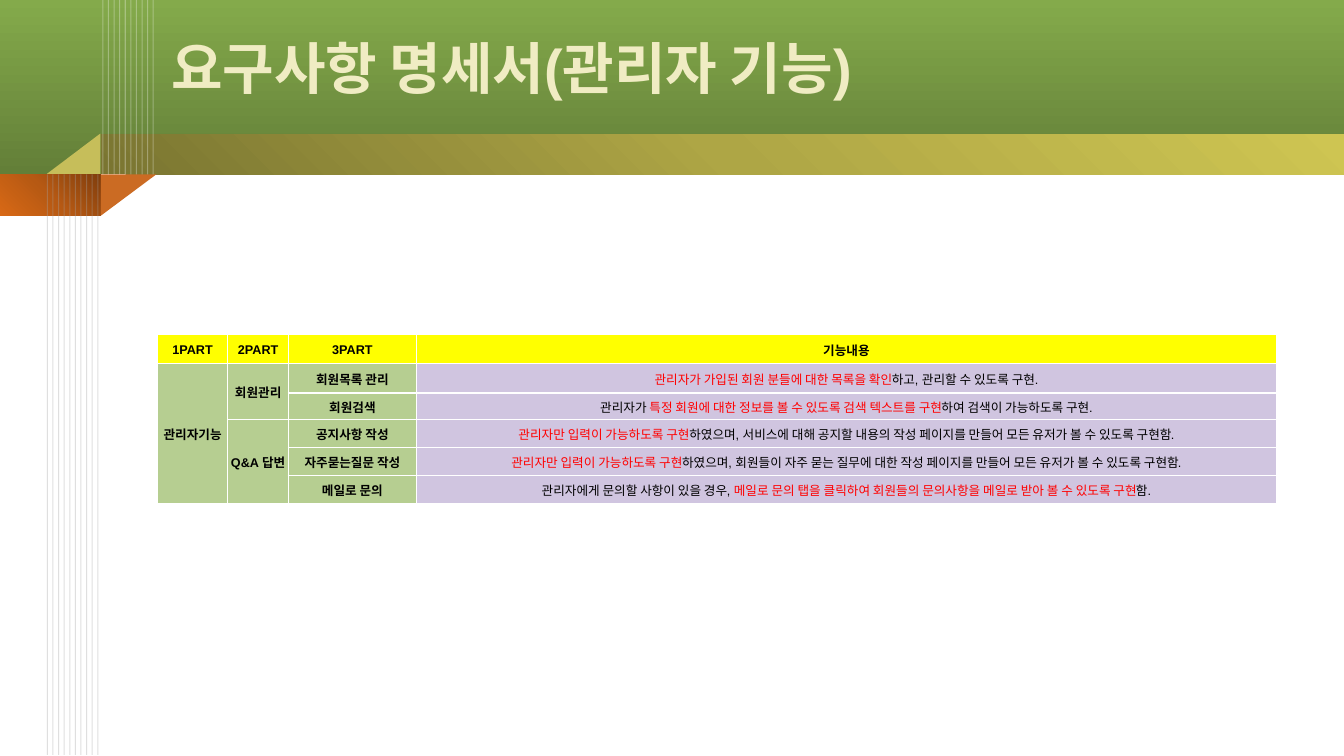
from lxml.etree import SubElement
from pptx import Presentation
from pptx.dml.color import RGBColor
from pptx.enum.shapes import MSO_CONNECTOR as Link, MSO_SHAPE as Kind
from pptx.enum.text import MSO_ANCHOR as Anchor, PP_ALIGN as Align
from pptx.oxml.ns import qn
from pptx.util import Inches, Pt

COLORS = {
    "white": "FFFFFF", "black": "000000", "red": "FF0000",
    "gray": "A6A6A6", "cream": "F0ECC3", "rust": "CB6B23",
    "khaki": "C6BE5A", "head": "FFFF00", "label": "B6CE91",
    "body": "D0C5E0",
}
GREEN = {0: "84AA4B", 100: "637F38"}
OLIVE = {0: "7A7531", 50: "AEA645", 100: "CEC552"}
ORANGE = {0: "803E0D", 50: "B65913", 100: "D86916"}

COLS = [0.7, 0.6, 1.27, 8.53]
ROWS = [0.29, 0.29, 0.26, 0.28, 0.28, 0.28]
HEADS = ["1PART", "2PART", "3PART", "기능내용"]
GROUPS = [(0, 1, 5, "관리자기능"), (1, 1, 2, "회원관리"), (1, 3, 5, "Q&A 답변")]
TASKS = [
    ("회원목록 관리", [("관리자가 가입된 회원 분들에 대한 목록을 확인", "red"),
                 ("하고, 관리할 수 있도록 구현.", "black")]),
    ("회원검색", [("관리자가 ", "black"),
              ("특정 회원에 대한 정보를 볼 수 있도록 검색 텍스트를 구현", "red"),
              ("하여 검색이 가능하도록 구현.", "black")]),
    ("공지사항 작성", [("관리자만 입력이 가능하도록 구현", "red"),
                 ("하였으며, 서비스에 대해 공지할 내용의 작성 페이지를 만들어 "
                  "모든 유저가 볼 수 있도록 구현함.", "black")]),
    ("자주묻는질문 작성", [("관리자만 입력이 가능하도록 구현", "red"),
                   ("하였으며, 회원들이 자주 묻는 질무에 대한 작성 페이지를 만들어 "
                    "모든 유저가 볼 수 있도록 구현함.", "black")]),
    ("메일로 문의", [("관리자에게 문의할 사항이 있을 경우, ", "black"),
                ("메일로 문의 탭을 클릭하여 회원들의 문의사항을 메일로 받아 "
                 "볼 수 있도록 구현", "red"), ("함.", "black")]),
]


def color(name):
    """Return the named colour."""
    return RGBColor.from_string(COLORS[name])


def add_shape(slide, kind, box, turn=0):
    """Add a plain shape without line or shadow."""
    shape = slide.shapes.add_shape(kind, *map(Inches, box))
    shape.rotation = turn
    shape.shadow.inherit = False
    shape.line.fill.background()
    return shape


def add_band(slide, box, stops, angle=None):
    """Add a gradient band, radial from the top right if no angle is given."""
    props = add_shape(slide, Kind.RECTANGLE, box)._element.spPr
    grad = SubElement(props, qn("a:gradFill"), rotWithShape="1")
    props.find(qn("a:prstGeom")).addnext(grad)
    stop_list = SubElement(grad, qn("a:gsLst"))
    for pos, shade in stops.items():
        stop = SubElement(stop_list, qn("a:gs"), pos=str(pos * 1000))
        SubElement(stop, qn("a:srgbClr"), val=shade)
    if angle is None:
        focus = SubElement(grad, qn("a:path"), path="circle")
        SubElement(focus, qn("a:fillToRect"), l="100000", b="100000")
    else:
        SubElement(grad, qn("a:lin"), ang=str(angle * 60000), scaled="0")


def add_fold(slide, box, turn, shade):
    """Add a triangular ribbon fold."""
    fold = add_shape(slide, Kind.RIGHT_TRIANGLE, box, turn)
    fold.fill.solid()
    fold.fill.fore_color.rgb = color(shade)


def add_lines(slide, left, top, bottom, shade, alpha):
    """Add ten evenly spaced translucent vertical lines."""
    for step in range(10):
        x = Inches(left + step * 0.5 / 9)
        line = slide.shapes.add_connector(
            Link.STRAIGHT, x, Inches(top), x, Inches(bottom))
        line.line.width = Pt(0.75)
        line.line.color.rgb = color(shade)
        props = line._element.spPr
        tint = props.find(".//" + qn("a:srgbClr"))
        SubElement(tint, qn("a:alpha"), val=str(alpha * 1000))
        SubElement(props, qn("a:effectLst"))


def add_run(para, text, size, shade, bold):
    """Add one run of text."""
    run = para.add_run()
    run.text = text
    run.font.name = "Arial"
    run.font.size = Pt(size)
    run.font.bold = bold
    run.font.color.rgb = color(shade)


def add_title(slide, text):
    """Add the slide title."""
    box = slide.shapes.add_textbox(*map(Inches, (1.6, 0.04, 11.17, 1.25)))
    frame = box.text_frame
    frame.word_wrap = True
    frame.vertical_anchor = Anchor.MIDDLE
    add_run(frame.paragraphs[0], text, 40, "cream", True)


def style_cell(cell, fill):
    """Set the borders, fill, margins and anchor of a cell."""
    props = cell._tc.get_or_add_tcPr()
    for side in ("lnL", "lnR", "lnT", "lnB"):
        edge = SubElement(props, qn("a:" + side), w=str(Pt(1)))
        paint = SubElement(edge, qn("a:solidFill"))
        SubElement(paint, qn("a:srgbClr"), val=COLORS["white"])
    cell.fill.solid()
    cell.fill.fore_color.rgb = color(fill)
    cell.margin_left = cell.margin_right = cell.margin_top = Inches(0.01)
    cell.margin_bottom = 0
    cell.vertical_anchor = Anchor.MIDDLE


def fill_cell(cell, runs, bold=True):
    """Write centred runs into a cell."""
    para = cell.text_frame.paragraphs[0]
    para.alignment = Align.CENTER
    for text, shade in runs:
        add_run(para, text, 9, shade, bold)


def add_grid(slide):
    """Add the requirements table."""
    frame = slide.shapes.add_table(
        len(ROWS), len(COLS), Inches(1.56), Inches(3.32),
        Inches(sum(COLS)), Inches(sum(ROWS)))
    table = frame.table
    for col, width in zip(table.columns, COLS):
        col.width = Inches(width)
    for row, height in zip(table.rows, ROWS):
        row.height = Inches(height)
    for r in range(len(ROWS)):
        for c in range(len(COLS)):
            fill = "head" if r == 0 else "body" if c == 3 else "label"
            style_cell(table.cell(r, c), fill)
    for c, text in enumerate(HEADS):
        fill_cell(table.cell(0, c), [(text, "black")])
    for c, first, last, text in GROUPS:
        table.cell(first, c).merge(table.cell(last, c))
        fill_cell(table.cell(first, c), [(text, "black")])
    for r, (name, runs) in enumerate(TASKS, 1):
        fill_cell(table.cell(r, 2), [(name, "black")])
        fill_cell(table.cell(r, 3), runs, False)


def main():
    """Build and save the slide."""
    deck = Presentation()
    deck.slide_width, deck.slide_height = Inches(13.33), Inches(7.5)
    slide = deck.slides.add_slide(deck.slide_layouts[6])
    add_band(slide, (0, 0, 13.33, 1.73), GREEN, 90)
    add_band(slide, (1, 1.33, 12.33, 0.4), OLIVE, 315)
    add_band(slide, (0, 1.73, 1, 0.41), ORANGE)
    add_fold(slide, (1.07, 1.66, 0.41, 0.55), 90, "rust")
    add_fold(slide, (0.53, 1.26, 0.4, 0.53), 270, "khaki")
    add_lines(slide, 1.02, 0, 1.73, "white", 30)
    add_lines(slide, 0.47, 1.73, 7.49, "gray", 35)
    add_title(slide, "요구사항 명세서(관리자 기능)")
    add_grid(slide)
    deck.save("out.pptx")


if __name__ == "__main__":
    main()
